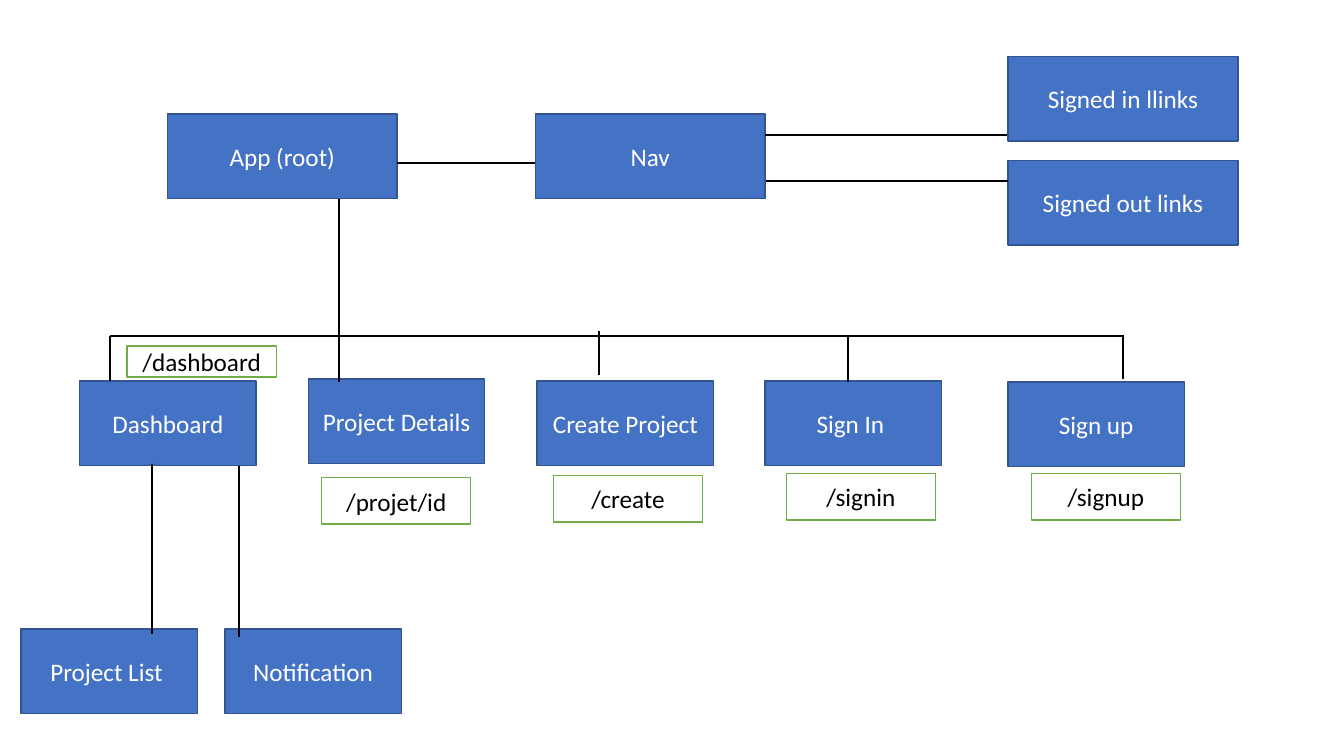
"""Draw the component and route tree of a web app on one slide."""
from lxml import etree
from pptx import Presentation
from pptx.dml.color import RGBColor
from pptx.enum import shapes, text
from pptx.oxml import ns
from pptx.util import Pt

BLUE, NAVY, GREEN, WHITE, BLACK = "4472C4", "325491", "70AD47", "FFFFFF", "000000"
BOX_H = 60.5
WIDE, NARROW = 164.2, 126


def color(value):
    return RGBColor.from_string(value)


def box(s, x, y, w, h, label, fill=BLUE, edge=NAVY, ink=WHITE):
    sp = s.shapes.add_shape(shapes.MSO_SHAPE.RECTANGLE, Pt(x), Pt(y), Pt(w), Pt(h))
    sp.shadow.inherit = False
    sp.fill.solid()
    sp.fill.fore_color.rgb = color(fill)
    sp.line.color.rgb = color(edge)
    sp.line.width = Pt(1)
    tf = sp.text_frame
    tf.word_wrap = True
    tf.vertical_anchor = text.MSO_ANCHOR.MIDDLE
    p = tf.paragraphs[0]
    p.alignment = text.PP_ALIGN.CENTER
    r = p.add_run()
    r.text = label
    r.font.name = "Calibri"
    r.font.size = Pt(18)
    r.font.color.rgb = color(ink)


def line(s, x1, y1, x2, y2):
    c = s.shapes.add_connector(
        shapes.MSO_CONNECTOR.STRAIGHT, Pt(x1), Pt(y1), Pt(x2), Pt(y2))
    c.line.color.rgb = color(BLACK)
    c.line.width = Pt(1.5)
    etree.SubElement(c._element.spPr, ns.qn("a:effectLst"))


def header(s, x, y):
    for dx, dy, label in [(0, 41.1, "App (root)"), (262.8, 41.1, "Nav"),
                          (600.5, 0, "Signed in llinks"),
                          (600.5, 74.2, "Signed out links")]:
        box(s, x + dx, y + dy, WIDE, BOX_H, label)
    for start, end, dy in [(WIDE, 262.8, 75.9), (427, 600, 56.2), (427.5, 600.5, 89.3)]:
        line(s, x + start, y + dy, x + end, y + dy)


def routes(s, x, y):
    pages = [(0, 130.4, "Dashboard"), (163.4, 129, "Project Details"),
             (326.8, 130.4, "Create Project"), (489.6, 130.4, "Sign In "),
             (663.1, 131, "Sign up")]
    for dx, dy, label in pages:
        box(s, x + dx, y + dy, NARROW, BOX_H, label)
    line(s, x + 21.6, y + 98, x + 745.2, y + 98)
    for dx, top, bottom in [(185, 0, 131), (21.6, 98, 130.4), (370.8, 94.4, 126),
                            (548.6, 98.7, 131), (745.2, 97.2, 129)]:
        line(s, x + dx, y + top, x + dx, y + bottom)
    for dx, dy, h, label in [(33.8, 105.2, 22.3, "/dashboard"),
                             (172.8, 199.5, 33.1, "/projet/id"),
                             (338.4, 198, 33.1, "/create"),
                             (504.7, 196.6, 33.1, "/signin"),
                             (679.7, 196.6, 33.1, "/signup")]:
        box(s, x + dx, y + dy, 106.6, h, label, WHITE, GREEN, BLACK)


def dashboard_parts(s, x, y):
    for dx, label in [(0, "Project List "), (145.5, "Notification")]:
        box(s, x + dx, y + 118.1, NARROW, BOX_H, label)
    for dx, top, bottom in [(93.6, 0, 121.7), (155.5, 1.4, 123.8)]:
        line(s, x + dx, y + top, x + dx, y + bottom)


prs = Presentation()
prs.slide_width, prs.slide_height = Pt(960), Pt(540)
s = prs.slides.add_slide(prs.slide_layouts[6])
header(s, 119.5, 40.3)
routes(s, 56.9, 141.8)
dashboard_parts(s, 15.1, 331.2)
prs.save("out.pptx")
